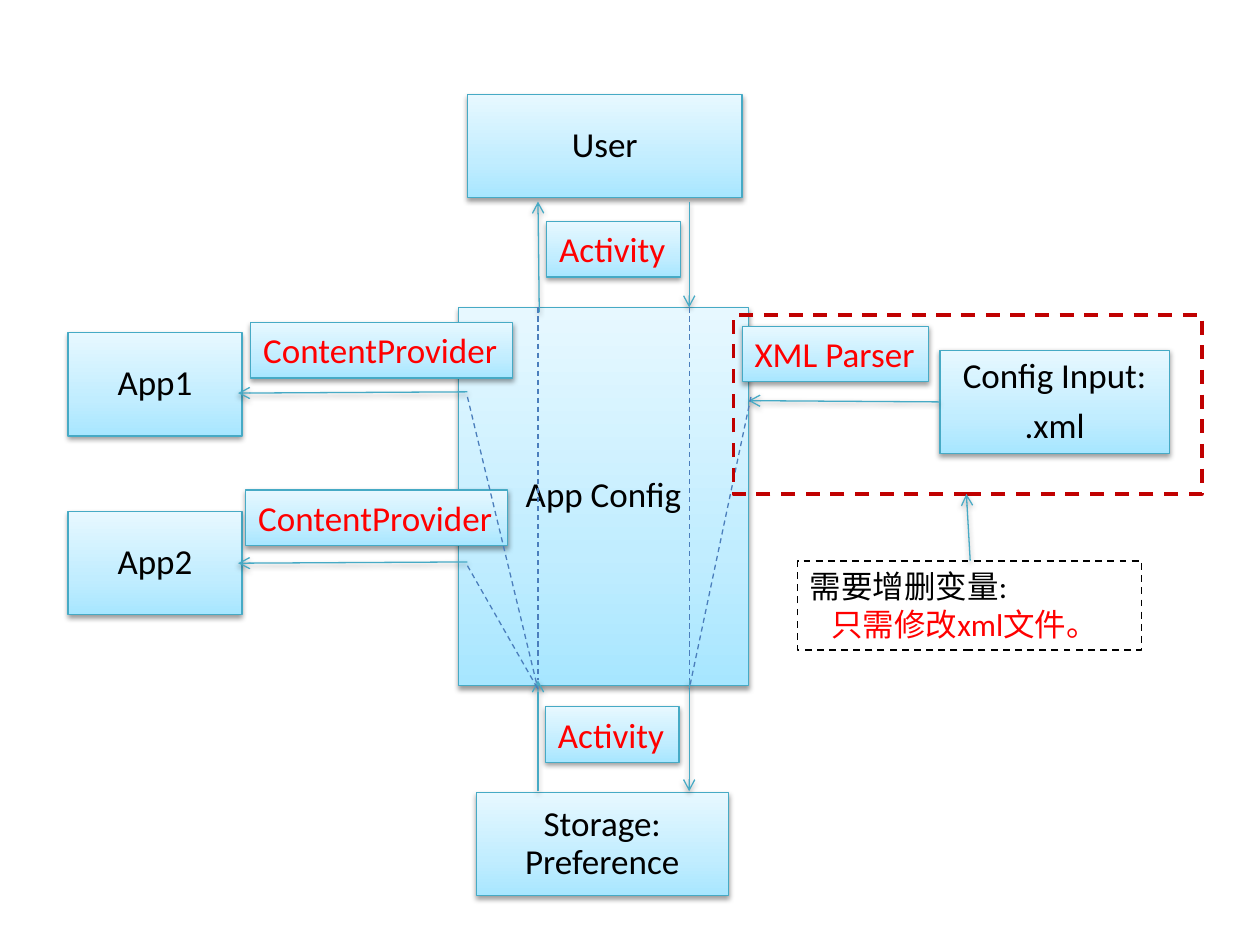
from lxml import etree
from pptx import Presentation, util as u
from pptx.dml.color import RGBColor
from pptx.enum import dml, shapes, text
from pptx.oxml import ns

EDGE, LINK, RED, BLACK = "46AAC5", "4B7EBC", "FF0000", "000000"


def rgb(code):
    return RGBColor.from_string(code)


def add(parent, tag, **attrs):
    """Append an XML child such as a:effectLst."""
    node = etree.SubElement(parent, ns.qn(tag))
    for key, value in attrs.items():
        node.set(key, str(value))
    return node


class Board:
    font = "Calibri"
    size = 20
    stops = ((0, "A7E6FF"), (35, "C1EDFF"), (100, "E7F8FF"))

    def __init__(self, slide):
        self.slide = slide

    def shade(self, item):
        props = item._element.spPr
        grad = add(props, "a:gradFill", rotWithShape=1)
        stops = add(grad, "a:gsLst")
        for pos, code in self.stops:
            stop = add(stops, "a:gs", pos=pos * 1000)
            add(stop, "a:srgbClr", val=code)
        add(grad, "a:lin", ang=270 * 60000, scaled=1)

    def effect(self, item, shadow=True):
        effects = add(item._element.spPr, "a:effectLst")
        if shadow:
            drop = add(effects, "a:outerShdw", blurRad=u.Pt(3.1), dist=u.Pt(1.6),
                       dir=90 * 60000, rotWithShape=0)
            color = add(drop, "a:srgbClr", val=BLACK)
            add(color, "a:alpha", val=38000)

    def stroke(self, item, color, width, dash=False):
        item.line.color.rgb = rgb(color)
        item.line.width = u.Pt(width)
        if dash:
            item.line.dash_style = dml.MSO_LINE.DASH

    def rect(self, area):
        return self.slide.shapes.add_shape(
            shapes.MSO_SHAPE.RECTANGLE, *(u.Inches(n) for n in area))

    def fill_text(self, item, words, colors, size, align):
        frame = item.text_frame
        frame.text = words
        frame.vertical_anchor = text.MSO_ANCHOR.TOP
        for para, color in zip(frame.paragraphs, colors):
            para.alignment = align
            for run in para.runs:
                run.font.name = self.font
                run.font.size = u.Pt(size)
                run.font.color.rgb = rgb(color)
        return frame

    def box(self, words, *area):
        """Main block with centred text."""
        item = self.rect(area)
        self.shade(item)
        self.stroke(item, EDGE, 0.75)
        self.effect(item)
        frame = self.fill_text(item, words, (BLACK, BLACK), self.size, text.PP_ALIGN.CENTER)
        frame.word_wrap = True
        frame.vertical_anchor = text.MSO_ANCHOR.MIDDLE
        frame.margin_left = frame.margin_right = u.Inches(0.03)
        frame.margin_top = frame.margin_bottom = u.Inches(0.03)
        for para in frame.paragraphs:
            para.line_spacing = 0.9
            para.space_after = u.Pt(7)

    def label(self, words, left, top, width):
        """Red tag beside an arrow."""
        item = self.rect((left, top, width, 0.44))
        self.shade(item)
        self.stroke(item, EDGE, 0.75)
        self.effect(item)
        frame = self.fill_text(item, words, (RED,), self.size, text.PP_ALIGN.LEFT)
        frame.word_wrap = False

    def frame(self, color, width, *area):
        """Dashed outline without fill."""
        item = self.rect(area)
        item.fill.background()
        self.stroke(item, color, width, True)
        self.effect(item, False)
        return item

    def note(self, words, *area):
        item = self.frame(BLACK, 1, *area)
        frame = self.fill_text(item, words, (BLACK, RED), 18, text.PP_ALIGN.LEFT)
        frame.word_wrap = True
        frame.paragraphs[1]._p.get_or_add_pPr().set("marL", str(u.Inches(0.17)))

    def join(self, *ends):
        return self.slide.shapes.add_connector(
            shapes.MSO_CONNECTOR.STRAIGHT, *(u.Inches(n) for n in ends))

    def arrow(self, *ends):
        item = self.join(*ends)
        self.stroke(item, EDGE, 0.75)
        add(item.line._get_or_add_ln(), "a:tailEnd", type="arrow")
        self.effect(item)

    def dash(self, *ends):
        item = self.join(*ends)
        self.stroke(item, LINK, 0.75, True)
        self.effect(item, False)


def main():
    deck = Presentation()
    deck.slide_width, deck.slide_height = u.Inches(10), u.Inches(7.5)
    board = Board(deck.slides.add_slide(deck.slide_layouts[6]))
    up, down = 4.27, 5.47  # columns of the upward and downward flows

    # Main blocks
    board.box("App1", 0.54, 2.64, 1.38, 0.82)
    board.box("App2", 0.54, 4.06, 1.38, 0.82)
    board.box("App Config", 3.64, 2.44, 2.3, 3)
    board.box("Config Input:\n.xml", 7.46, 2.78, 1.82, 0.82)
    board.box("Storage: Preference", 3.78, 6.29, 2, 0.82)
    board.box("User", 3.71, 0.75, 2.18, 0.82)

    # Arrows between the blocks
    for y in (3.11, 4.46):
        board.arrow(3.71, y, 1.89, y + 0.01)
    board.arrow(up + 0.01, 2.48, up, 1.6)
    board.arrow(down, 1.6, down, 2.44)
    board.arrow(7.46, 3.19, 5.94, 3.18)
    board.arrow(up, 6.28, up, 5.4)
    board.arrow(down, 5.4, down, 6.28)

    # Labels under the dashed links
    board.label("ContentProvider", 1.95, 3.89, 2.08)
    board.label("Activity", 4.34, 1.76, 1.06)
    board.label("XML Parser", 5.89, 2.59, 1.48)
    board.label("Activity", 4.33, 5.61, 1.06)

    # Dashed links inside App Config
    for y in (4.49, 3.15):
        board.dash(3.71, y, up, 5.47)
    for x in (up, down):
        board.dash(x, 2.44, x, 5.4)
    board.dash(5.96, 3.15, down, 5.47)

    # Highlight and its note
    board.frame("C00000", 2, 5.82, 2.5, 3.72, 1.42)
    board.note("需要增删变量:\n只需修改xml文件。", 6.33, 4.45, 2.73, 0.71)
    board.arrow(7.7, 4.45, 7.67, 3.92)

    # Label on top
    board.label("ContentProvider", 1.99, 2.56, 2.08)

    deck.save("out.pptx")


if __name__ == "__main__":
    main()
